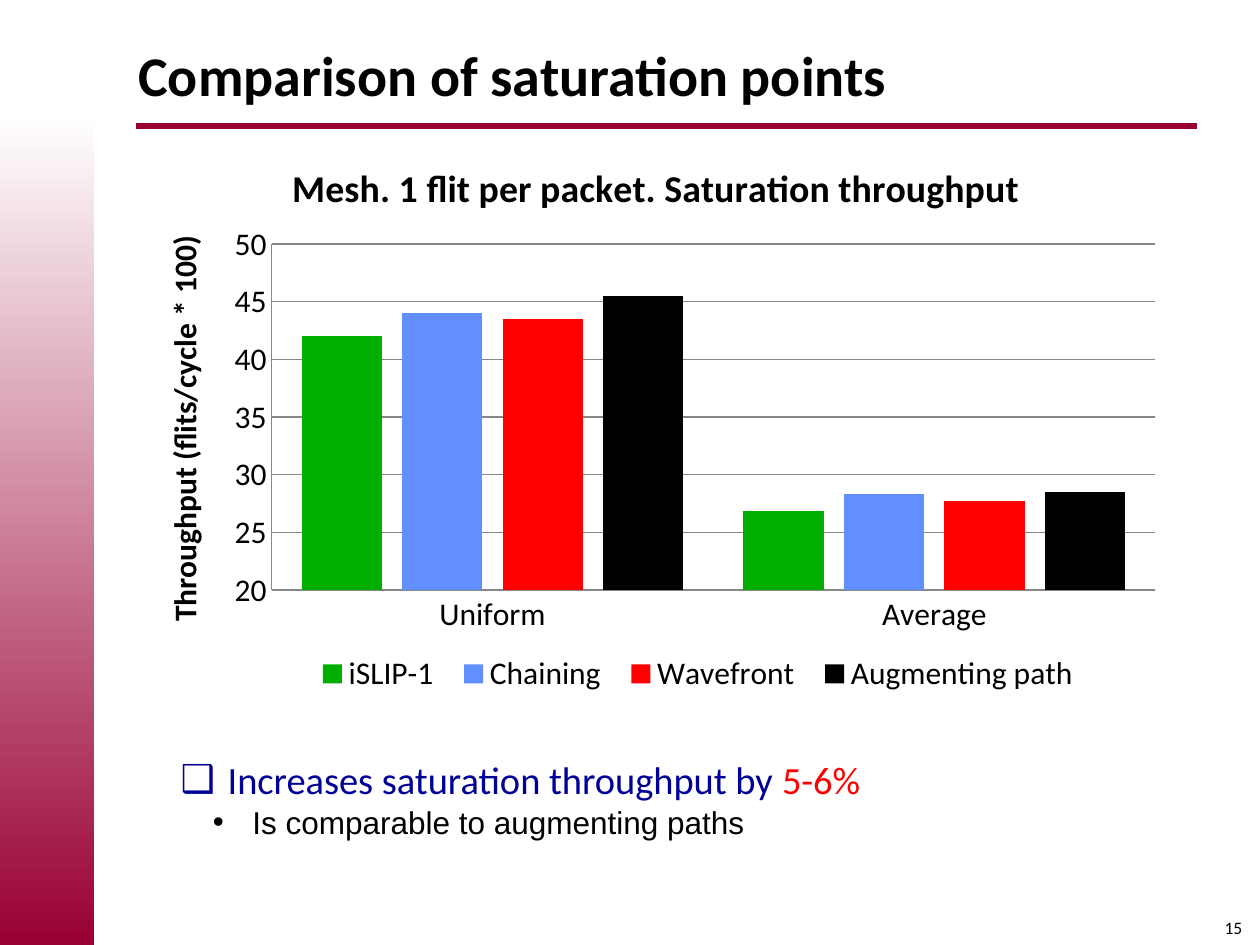
from lxml import etree
from pptx import Presentation
from pptx.chart.data import CategoryChartData
from pptx.dml.color import RGBColor
from pptx.enum.chart import XL_CHART_TYPE, XL_LEGEND_POSITION, XL_TICK_MARK
from pptx.enum.shapes import MSO_CONNECTOR, MSO_SHAPE
from pptx.enum.text import MSO_ANCHOR, PP_ALIGN
from pptx.oxml.ns import qn
from pptx.util import Cm, Pt

COLUMNS = XL_CHART_TYPE.COLUMN_CLUSTERED
BOTTOM = XL_LEGEND_POSITION.BOTTOM
NO_TICK = XL_TICK_MARK.NONE
STRAIGHT = MSO_CONNECTOR.STRAIGHT
RECTANGLE = MSO_SHAPE.RECTANGLE
MIDDLE = MSO_ANCHOR.MIDDLE
CENTER = PP_ALIGN.CENTER

BLACK = RGBColor(0x00, 0x00, 0x00)
WHITE = RGBColor(0xFF, 0xFF, 0xFF)
CRIMSON = RGBColor(0x99, 0x00, 0x33)
NAVY = RGBColor(0x00, 0x00, 0x99)
RED = RGBColor(0xFF, 0x00, 0x00)
GREEN = RGBColor(0x00, 0xAE, 0x00)
BLUE = RGBColor(0x61, 0x8F, 0xFD)
GRAY = RGBColor(0x87, 0x87, 0x87)


def style(font, size, color, name="Calibri", bold=False):
    font.size = Pt(size)
    font.color.rgb = color
    font.name = name
    font.bold = bold


def set_bullet(para, symbol, margin, hang):
    """Give the paragraph a bullet that hangs to the left of its margin."""
    props = para._p.get_or_add_pPr()
    props.set("marL", str(margin))
    props.set("indent", str(-hang))
    etree.SubElement(props, qn("a:buFont")).set("typeface", "Arial")
    etree.SubElement(props, qn("a:buChar")).set("char", symbol)


deck = Presentation()
deck.slide_width = Cm(25.4)
deck.slide_height = Cm(19.05)
page = deck.slides.add_slide(deck.slide_layouts[6])

# Frame: rule under the title, side band and page number
rule = page.shapes.add_connector(STRAIGHT, Cm(2.75), Cm(2.54), Cm(24.13), Cm(2.54))
rule.line.color.rgb = CRIMSON
rule.line.width = Pt(3)
etree.SubElement(rule._element.spPr, qn("a:effectLst"))

band = page.shapes.add_shape(RECTANGLE, Cm(0), Cm(2.33), Cm(1.9), Cm(16.72))
band.shadow.inherit = False
band.line.fill.background()
band.fill.gradient()
band.fill.gradient_angle = 270
for stop, color, position in zip(band.fill.gradient_stops, (WHITE, CRIMSON), (0, 1)):
    stop.color.rgb = color
    stop.position = position

number_box = page.shapes.add_textbox(Cm(24.33), Cm(18.36), Cm(1.07), Cm(0.69))
number_box.text_frame.text = "15"
number_para = number_box.text_frame.paragraphs[0]
number_para.alignment = CENTER
style(number_para.runs[0].font, 10, BLACK)

# Title
title_box = page.shapes.add_textbox(Cm(2.54), Cm(0.43), Cm(21.8), Cm(2.11))
title_box.text_frame.word_wrap = True
title_box.text_frame.vertical_anchor = MIDDLE
title_box.text_frame.text = "Comparison of saturation points"
style(title_box.text_frame.paragraphs[0].runs[0].font, 32, BLACK, bold=True)

# Chart
throughput = [
    ("iSLIP-1", (42, 26.8), GREEN),
    ("Chaining", (44, 28.3), BLUE),
    ("Wavefront", (43.5, 27.7), RED),
    ("Augmenting path", (45.5, 28.5), BLACK),
]
data = CategoryChartData()
data.categories = ["Uniform", "Average"]
for name, values, _ in throughput:
    data.add_series(name, values)
chart = page.shapes.add_chart(
    COLUMNS, Cm(2.75), Cm(2.75), Cm(20.96), Cm(11.43), data
).chart
style(chart.font, 18, BLACK)
chart.has_title = True
chart.chart_title.include_in_layout = False
chart.has_legend = True
chart.legend.position = BOTTOM
chart.legend.include_in_layout = False

plot = chart.plots[0]
plot.gap_width = 75
plot.overlap = -25
plot.vary_by_categories = False
for series, (_, _, color) in zip(plot.series, throughput):
    series.format.fill.solid()
    series.format.fill.fore_color.rgb = color

value_axis = chart.value_axis
value_axis.minimum_scale = 20
value_axis.maximum_scale = 50
value_axis.major_unit = 5
value_axis.has_major_gridlines = True
value_axis.major_gridlines.format.line.color.rgb = GRAY
value_axis.has_title = True
for axis in (chart.category_axis, value_axis):
    axis.major_tick_mark = NO_TICK
    axis.minor_tick_mark = NO_TICK
    axis.format.line.color.rgb = GRAY

headings = [
    (chart.chart_title, "Mesh. 1 flit per packet. Saturation throughput", 21.6),
    (value_axis.axis_title, "Throughput (flits/cycle * 100)", 18),
]
for heading, text, size in headings:
    heading.text_frame.text = text
    style(heading.text_frame.paragraphs[0].runs[0].font, size, BLACK, bold=True)

# Fixed places for plot and legend, as fractions of the chart's size
edges = {"xMode": "edge", "yMode": "edge"}
plot_place = {"layoutTarget": "inner", **edges, "x": 0.13, "y": 0.19, "w": 0.85, "h": 0.61}
legend_place = {**edges, "x": 0.16, "y": 0.92, "w": 0.76, "h": 0.08}
plot_area = chart._chartSpace.chart.plotArea
legend = chart.legend._element
for parent, index, place in ((plot_area, 0, plot_place), (legend, 1, legend_place)):
    for old_layout in parent.findall(qn("c:layout")):
        parent.remove(old_layout)
    layout = etree.Element(qn("c:layout"))
    manual = etree.SubElement(layout, qn("c:manualLayout"))
    for key, value in place.items():
        etree.SubElement(manual, qn(f"c:{key}")).set("val", str(value))
    parent.insert(index, layout)

# Conclusions
findings_box = page.shapes.add_textbox(Cm(3.39), Cm(15.03), Cm(20.11), Cm(2.33))
findings_box.text_frame.word_wrap = True
finding = findings_box.text_frame.paragraphs[0]
finding.line_spacing = 1.1
finding.space_before = Pt(4.4)
set_bullet(finding, "❑", Cm(0.95), Cm(0.95))
for text, color in (("Increases saturation throughput by ", NAVY), ("5-6%", RED)):
    span = finding.add_run()
    span.text = text
    style(span.font, 22, color)

detail = findings_box.text_frame.add_paragraph()
detail.text = "Is comparable to augmenting paths"
detail.level = 1
set_bullet(detail, "•", Cm(1.45), Cm(0.8))
style(detail.runs[0].font, 18, BLACK, name="Arial")

deck.save("out.pptx")
